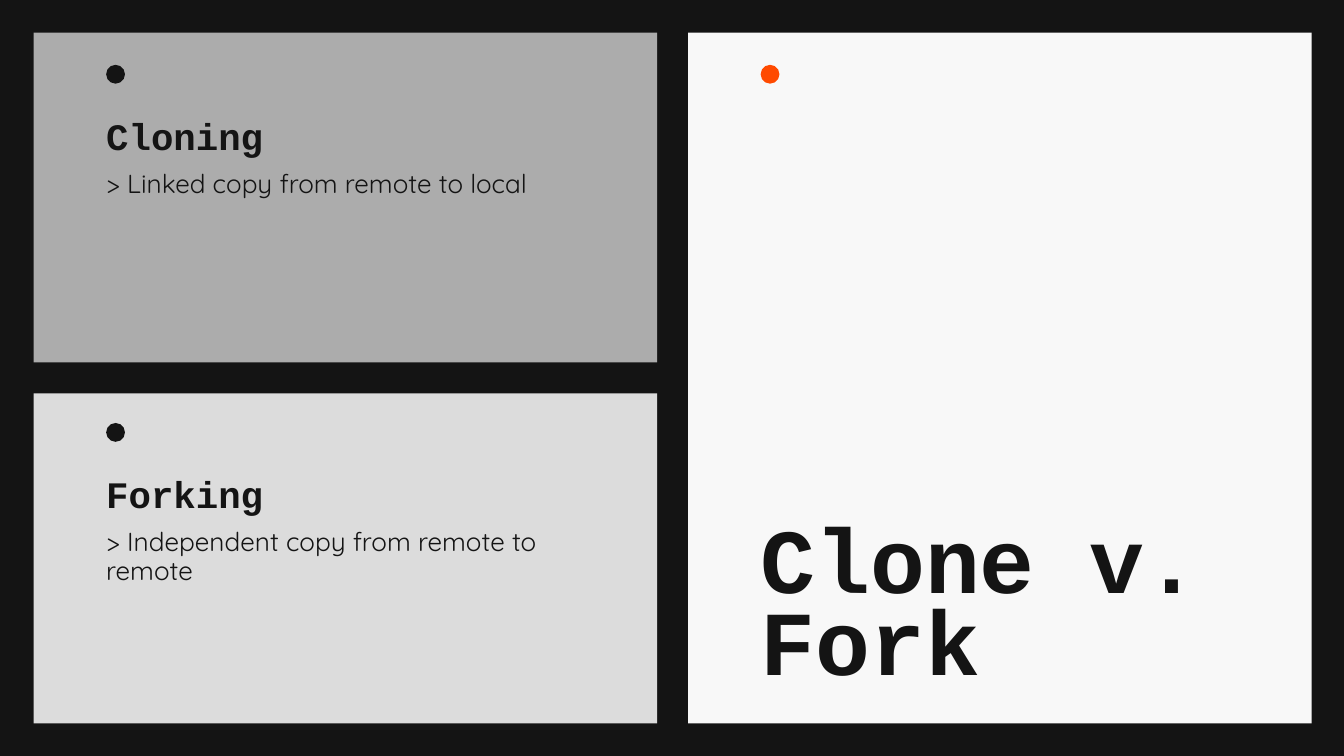
from lxml import etree
from pptx import Presentation
from pptx.dml.color import RGBColor
from pptx.enum.shapes import MSO_SHAPE as SHAPE
from pptx.enum.text import MSO_ANCHOR as ANCHOR, MSO_AUTO_SIZE as AUTO_SIZE, PP_ALIGN as ALIGN
from pptx.oxml.ns import qn
from pptx.util import Inches, Pt

INK, ORANGE = "141414", "FF4A00"
SLIDE_W = 10
SLIDE_H = SLIDE_W * 9 / 16
MARGIN_X, GAP = 0.25, 0.23
PANEL_W, TALL_H = 4.64, 5.14
MARGIN_Y = (SLIDE_H - TALL_H) / 2
SHORT_H = (TALL_H - GAP) / 2
INSET, DOT = 0.54, 0.14

HEADING = {"name": "Courier New", "bold": True}
BODY = {"name": "Quicksand", "bold": False, "size": Pt(14)}
HEADING_SPACING = {"line_spacing": 0.75, "space_after": Pt(2)}
BODY_SPACING = {"line_spacing": 0.9, "space_after": Pt(0)}


def rgb(value):
    return RGBColor.from_string(value)


def add_filled(slide, preset, box, color):
    shape = slide.shapes.add_shape(preset, *map(Inches, box))
    shape.shadow.inherit = False
    shape.fill.solid()
    shape.fill.fore_color.rgb = rgb(color)
    shape.line.fill.background()


def add_panel(slide, box, color, dot_top, dot_color):
    """Draw a panel with its dot; dot_top is measured from the panel's top."""
    left, top = box[:2]
    add_filled(slide, SHAPE.RECTANGLE, box, color)
    add_filled(slide, SHAPE.OVAL, (left + INSET, top + dot_top, DOT, DOT), dot_color)


def place_text(placeholder, box, text, font, spacing, anchor):
    """Fill and format a placeholder, and bring it in front of the panels."""
    placeholder.left, placeholder.top, placeholder.width, placeholder.height = map(Inches, box)
    frame = placeholder.text_frame
    frame.text = text
    frame_format = {"word_wrap": True, "auto_size": AUTO_SIZE.NONE, "vertical_anchor": anchor,
                    "margin_left": 0, "margin_top": 0, "margin_right": 0, "margin_bottom": 0}
    paragraph = frame.paragraphs[0]
    paragraph_format = {"alignment": ALIGN.LEFT, "space_before": Pt(0), **spacing}
    run_font = paragraph.runs[0].font
    for target, values in ((frame, frame_format), (paragraph, paragraph_format), (run_font, font)):
        for key, value in values.items():
            setattr(target, key, value)
    run_font.color.rgb = rgb(INK)

    properties = paragraph._p.get_or_add_pPr()
    properties.set("marL", "0")
    properties.set("indent", "0")
    etree.SubElement(properties, qn("a:buNone"))
    placeholder._element.getparent().append(placeholder._element)


def add_title_panel(slide, box):
    left, top, _, height = box
    add_panel(slide, box, "F8F8F8", 0.24, ORANGE)
    place_text(slide.shapes.title, (left + INSET, top + height - 1.75, 3.6, 1.52),
               "Clone v. Fork", {**HEADING, "size": Pt(49)}, HEADING_SPACING, ANCHOR.BOTTOM)


def add_term_panel(slide, box, color, dot_top, term, meaning, meaning_w, heading, body):
    left, top = box[0] + INSET, box[1] + dot_top
    add_panel(slide, box, color, dot_top, INK)
    place_text(heading, (left, top + 0.34, 2.31, 0.35), term,
               {**HEADING, "size": Pt(20)}, HEADING_SPACING, ANCHOR.BOTTOM)
    place_text(body, (left, top + 0.79, meaning_w, 1.04), meaning,
               BODY, BODY_SPACING, ANCHOR.TOP)


def main():
    presentation = Presentation()
    presentation.slide_width, presentation.slide_height = Inches(SLIDE_W), Inches(SLIDE_H)
    comparison_layout = presentation.slide_layouts[4]
    slide = presentation.slides.add_slide(comparison_layout)
    slide.background.fill.solid()
    slide.background.fill.fore_color.rgb = rgb(INK)

    _, *term_holders = list(slide.placeholders)
    terms = [
        ("ACACAC", 0.24, "Cloning", "> Linked copy from remote to local", 3.31),
        ("DCDCDC", 0.22, "Forking", "> Independent copy from remote to remote", 3.44),
    ]
    add_title_panel(slide, (MARGIN_X + PANEL_W + GAP, MARGIN_Y, PANEL_W, TALL_H))
    for row, term in enumerate(terms):
        box = (MARGIN_X, MARGIN_Y + row * (SHORT_H + GAP), PANEL_W, SHORT_H)
        add_term_panel(slide, box, *term, *term_holders[2 * row:2 * row + 2])

    presentation.save("out.pptx")


if __name__ == "__main__":
    main()
